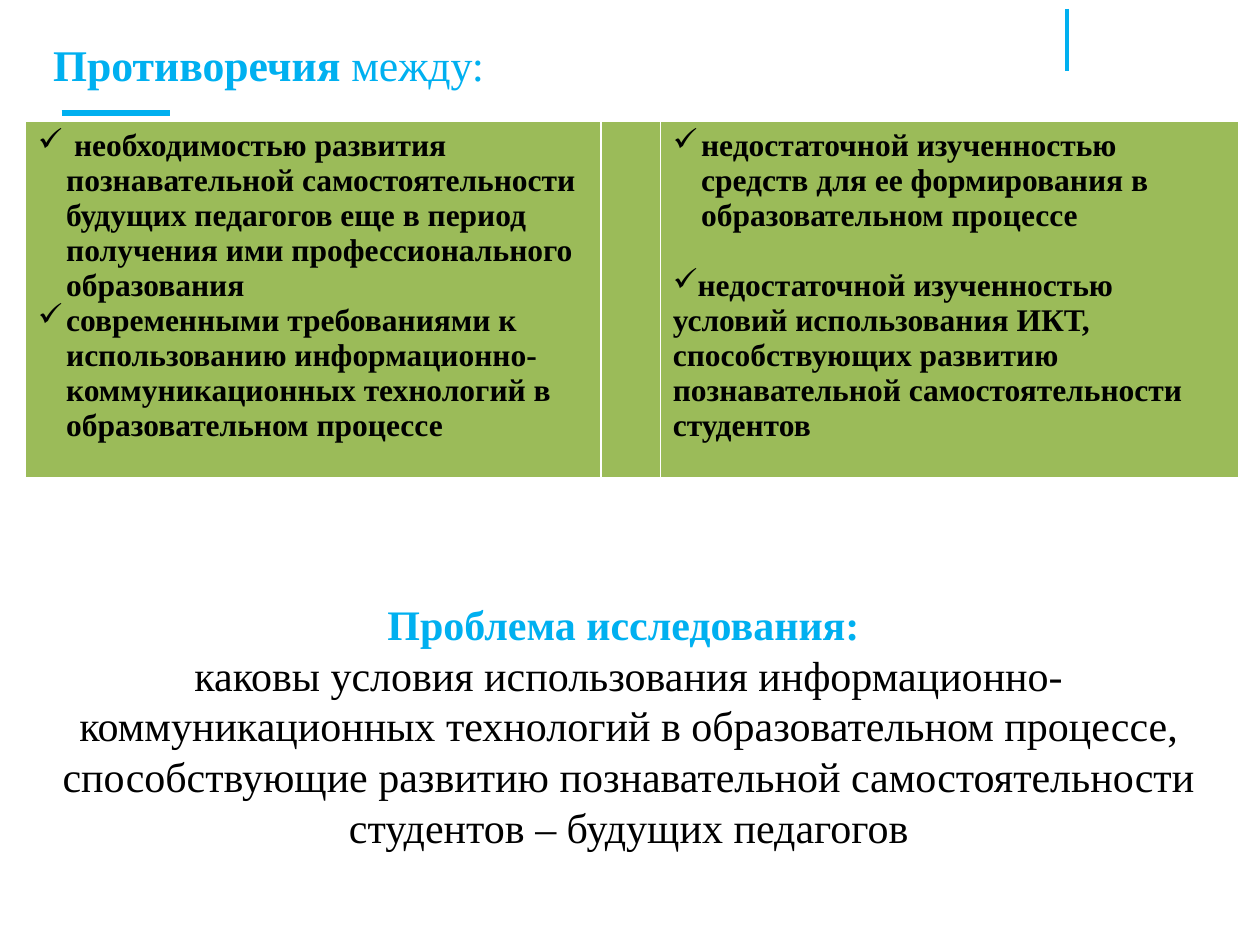
from lxml import etree
from pptx import Presentation
from pptx import util as u
from pptx.dml.color import RGBColor
from pptx.enum import shapes, text
from pptx.oxml.ns import qn

BLUE = RGBColor(0x00, 0xB0, 0xF0)
GREEN = RGBColor(0x9B, 0xBB, 0x59)
BLACK = RGBColor(0, 0, 0)
WHITE = RGBColor(0xFF, 0xFF, 0xFF)
FONT = "Times New Roman"


def add_run(paragraph, wording, size, color, bold):
    run = paragraph.add_run()
    run.text = wording
    run.font.name = FONT
    run.font.size = u.Pt(size)
    run.font.color.rgb = color
    run.font.bold = bold


def set_check_bullet(paragraph, indent):
    properties = paragraph._p.get_or_add_pPr()
    properties.set("marL", str(indent))
    properties.set("indent", str(-indent))
    etree.SubElement(properties, qn("a:buChar")).set("char", "✓")


presentation = Presentation()
presentation.slide_width = u.Cm(25.4)
presentation.slide_height = u.Cm(19.05)
slide = presentation.slides.add_slide(presentation.slide_layouts[5])

# Title
title = slide.shapes.title
title.left, title.top, title.width, title.height = u.Cm(1.07), u.Cm(0.76), u.Cm(15.65), u.Cm(1.68)
frame = title.text_frame
frame.margin_left = frame.margin_top = frame.margin_right = frame.margin_bottom = 0
frame.vertical_anchor = text.MSO_ANCHOR.TOP
frame.auto_size = text.MSO_AUTO_SIZE.NONE
paragraph = frame.paragraphs[0]
paragraph.alignment = text.PP_ALIGN.LEFT
paragraph.space_before = u.Pt(3.5)
add_run(paragraph, "Противоречия ", 25, BLUE, True)
add_run(paragraph, "между:", 25, BLUE, False)

# Accent lines: under the title and at the top right
for x1, y1, x2, y2, weight in [(1.24, 2.28, 3.43, 2.28, 3), (21.51, 0.18, 21.51, 1.44, 2.25)]:
    line = slide.shapes.add_connector(
        shapes.MSO_CONNECTOR.STRAIGHT, u.Cm(x1), u.Cm(y1), u.Cm(x2), u.Cm(y2))
    line.line.color.rgb = BLUE
    line.line.width = u.Pt(weight)
    etree.SubElement(line._element.spPr, qn("a:effectLst"))

# Table of contradictions: wording, hanging indent in cm, space before in points
HANGING = 0.57
columns = [
    (11.61, [
        (" необходимостью развития познавательной самостоятельности будущих педагогов "
         "еще в период получения ими профессионального образования", HANGING, 0),
        ("современными требованиями к использованию информационно-коммуникационных "
         "технологий в образовательном процессе", HANGING, 0),
    ]),
    (1.19, []),
    (11.66, [
        ("недостаточной изученностью средств для ее формирования в образовательном процессе",
         HANGING, 0),
        ("недостаточной изученностью условий использования ИКТ, способствующих развитию "
         "познавательной самостоятельности студентов", 0, 20),
    ]),
]
table = slide.shapes.add_table(
    1, len(columns), u.Cm(0.51), u.Cm(2.45), u.Cm(24.46), u.Cm(7.19)).table
for index, (width, items) in enumerate(columns):
    table.columns[index].width = u.Cm(width)
    cell = table.cell(0, index)
    cell.fill.solid()
    cell.fill.fore_color.rgb = GREEN
    for number, (wording, indent, space) in enumerate(items):
        frame = cell.text_frame
        paragraph = frame.add_paragraph() if number else frame.paragraphs[0]
        paragraph.line_spacing = u.Pt(20)
        paragraph.space_before = u.Pt(space)
        set_check_bullet(paragraph, u.Cm(indent))
        add_run(paragraph, wording, 18, BLACK, True)

# Research problem
problem = slide.shapes.add_shape(
    shapes.MSO_SHAPE.ROUNDED_RECTANGLE, u.Cm(0.51), u.Cm(11.91), u.Cm(24.33), u.Cm(5.41))
problem.shadow.inherit = False
problem.fill.solid()
problem.fill.fore_color.rgb = WHITE
problem.line.fill.background()
frame = problem.text_frame
frame.word_wrap = True
frame.vertical_anchor = text.MSO_ANCHOR.MIDDLE
frame.margin_left = frame.margin_right = u.Cm(0.23)
frame.margin_top = frame.margin_bottom = u.Cm(0.1)
statements = [
    ("Проблема исследования: ", BLUE, True),
    ("каковы условия использования информационно-коммуникационных технологий в "
     "образовательном процессе, способствующие развитию познавательной "
     "самостоятельности студентов ‒ будущих педагогов", BLACK, False),
]
for number, (wording, color, bold) in enumerate(statements):
    paragraph = frame.add_paragraph() if number else frame.paragraphs[0]
    paragraph.alignment = text.PP_ALIGN.CENTER
    paragraph.line_spacing = u.Pt(29)
    add_run(paragraph, wording, 24, color, bold)

presentation.save("out.pptx")
